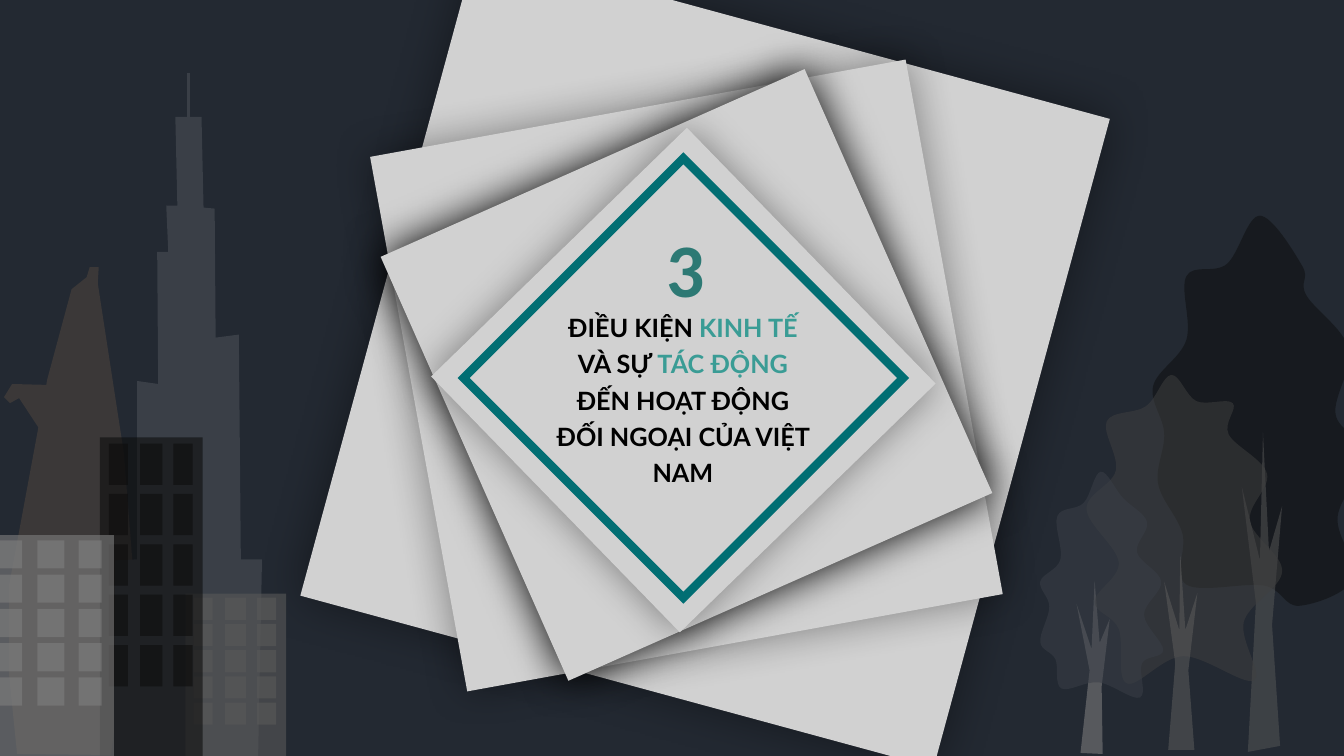
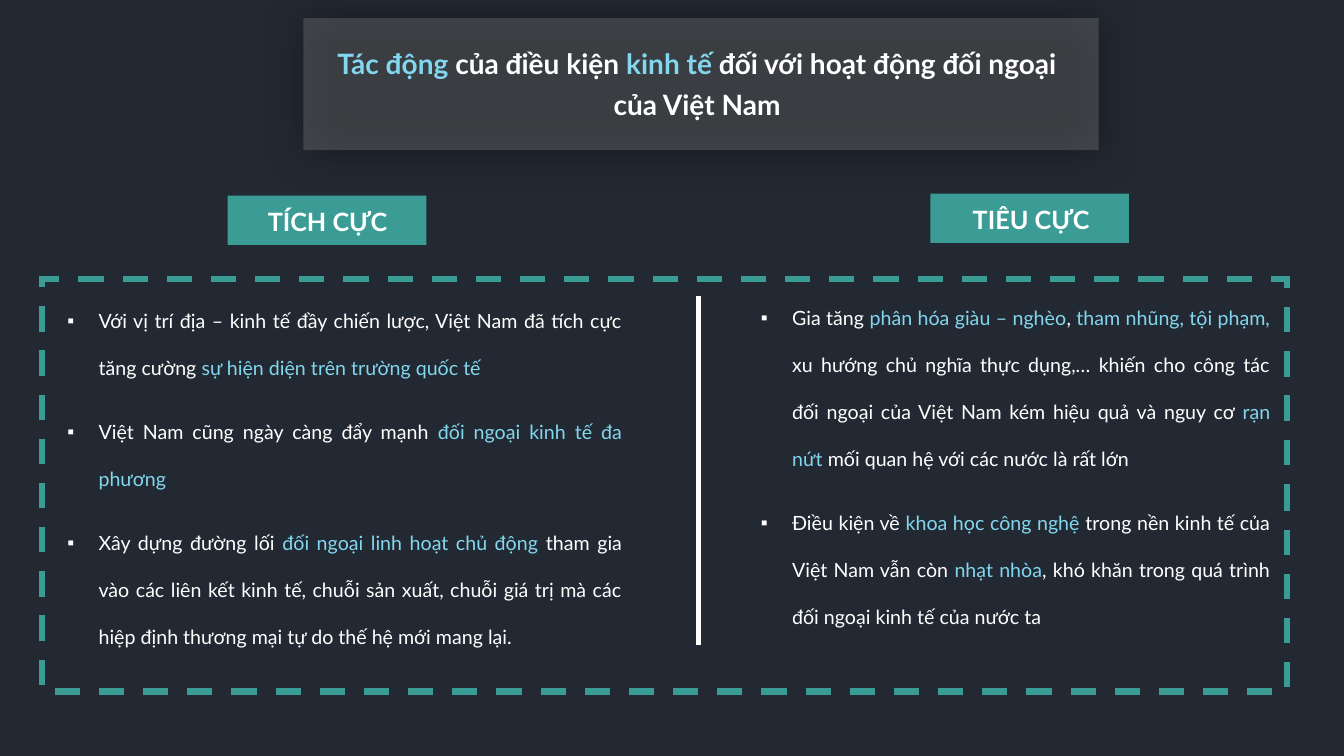
from dataclasses import dataclass
from typing import Optional

from lxml import etree
from pptx import Presentation
from pptx import util as u
from pptx.dml.color import RGBColor
from pptx.enum import dml, shapes, text
from pptx.oxml.ns import qn

NIGHT, PAPER, WHITE, BLACK = "232932", "D1D1D1", "FFFFFF", "000000"
TEAL, DEEP_TEAL, NUMBER_TEAL, SKY = "3A9C95", "016E73", "2D7974", "82D7EF"
SLATE, BROWN, GREY, DARK_GREY, TRUNK, INK = "3A3F47", "3B3838", "7F7F7F", "595959", "5C5C5C", "0D0D0D"
RECT = shapes.MSO_SHAPE.RECTANGLE

Point = tuple[float, float]


@dataclass
class Box:
    left: float
    top: float
    width: float
    height: float

    def emu(self) -> list[int]:
        return [u.Inches(v) for v in (self.left, self.top, self.width, self.height)]


@dataclass
class Sheet:
    box: Box
    rotation: float
    blur: float
    shadow_alpha: int = 40


@dataclass
class Outline:
    points: list[Point]
    color: str
    alpha: int = 100
    smooth: bool = False


@dataclass
class Building:
    box: Box
    color: str
    pane_lefts: tuple[float, float, float]
    pane_widths: tuple[float, float, float]
    pane_height: float
    first_floor: float
    floor_step: float
    floors: int = 5


@dataclass
class TextStyle:
    size: float
    color: str = WHITE
    accent: str = SKY
    bold: bool = False
    font: str = "Lato"
    align: text.PP_ALIGN = text.PP_ALIGN.CENTER
    line_spacing: float = 1.0
    gap: float = 0
    margin: float = 0
    indent: float = 0
    bullet: str = ""


SHEETS = [
    Sheet(Box(3.74, 0.21, 6.51, 6.67), 15.2, 34),
    Sheet(Box(4.11, 1.03, 5.4, 5.39), 349.7, 30),
    Sheet(Box(4.51, 1.42, 4.6, 4.6), 66.1, 30, 100),
    Sheet(Box(5.01, 2, 3.54, 3.54), 315.8, 28),
]
TREES = [
    Outline([(10.72, 7.47), (10.81, 6.65), (10.68, 5.99), (10.83, 6.44), (10.86, 5.76),
             (10.91, 6.38), (11.01, 6.14), (10.93, 6.81), (10.94, 7.48)], GREY, 57),
    Outline([(12.54, 5.81), (11.77, 5.8), (11.73, 5.29), (11.49, 4.8), (11.55, 4.3), (11.44, 3.83),
             (11.77, 3.37), (11.77, 2.74), (12.17, 2.62), (12.5, 2.14), (12.92, 2.64), (12.96, 2.93),
             (13.38, 3.46), (13.25, 4.11), (13.55, 4.51), (13.27, 5.13), (13.43, 5.74), (12.89, 6.01)],
            INK, 50, True),
    Outline([(12.38, 7.46), (12.46, 5.98), (12.32, 4.83), (12.5, 5.56), (12.53, 4.29),
             (12.59, 5.47), (12.72, 5.02), (12.62, 6.2), (12.7, 7.4)], TRUNK, 47),
    Outline([(11.74, 6.51), (11.18, 6.78), (11.1, 6.24), (10.86, 5.97), (11.1, 5.58), (10.78, 5.05),
             (11.07, 4.67), (10.98, 4.18), (11.37, 4.03), (11.62, 3.72), (11.87, 3.98), (12.23, 4),
             (12.19, 4.31), (12.57, 4.7), (12.4, 5.17), (12.72, 5.67), (12.34, 6.17), (12.44, 6.75)],
            "404040", 51, True),
    Outline([(11.59, 7.44), (11.66, 6.58), (11.55, 5.77), (11.7, 6.25), (11.71, 5.49),
             (11.76, 6.25), (11.88, 5.88), (11.79, 6.65), (11.85, 7.44)], TRUNK, 54),
]
SMALL_CROWN = Outline(
    [(10.9, 6.77), (10.53, 6.83), (10.47, 6.54), (10.32, 6.37), (10.41, 6.02), (10.32, 5.77),
     (10.52, 5.55), (10.49, 5.12), (10.75, 4.99), (10.92, 4.68), (11.14, 4.94), (11.38, 5.18),
     (11.28, 5.48), (11.52, 5.77), (11.35, 6.1), (11.54, 6.45), (11.33, 6.58), (11.31, 6.92)],
    SLATE, 54, True)
TOWERS = [
    Outline([(0.09, 5.81), (0.09, 6.69), (0.17, 7.48), (1.1, 7.49), (1.33, 5.78), (1.23, 4.5),
             (0.97, 2.81), (0.98, 2.65), (0.89, 2.65), (0.86, 2.75), (0.71, 2.87),
             (0.47, 3.76)], BROWN),
    Outline([(0.5, 3.82), (0.12, 3.81), (0.04, 3.94), (0.1, 4), (0.19, 3.95), (0.4, 4.27)], BROWN),
    Outline([(2.6, 5.55), (2.56, 7.56), (1.13, 7.56), (1.14, 5.56), (1.36, 5.55), (1.36, 3.78),
             (1.57, 3.81), (1.56, 2.5), (1.67, 2.5), (1.65, 2.04), (1.76, 2.04), (1.74, 1.16),
             (2, 1.16), (2.02, 2.06), (2.13, 2.07), (2.14, 3.35), (2.37, 3.32), (2.39, 5.55)], SLATE),
]
BUILDINGS = [
    Building(Box(1.84, 5.89, 1, 1.68), DARK_GREY, (1.92, 2.23, 2.55), (0.19, 0.21, 0.19), 0.22, 5.93, 0.26),
    Building(Box(0.99, 4.34, 1.02, 3.18), INK, (1.08, 1.39, 1.72), (0.19, 0.22, 0.19), 0.41, 4.4, 0.5),
    Building(Box(-0.12, 5.31, 1.25, 2.19), GREY, (-0.01, 0.37, 0.78), (0.23, 0.27, 0.23), 0.28, 5.36, 0.34),
]

SECTION = TextStyle(18, BLACK, TEAL, True, line_spacing=1.2, gap=6)
NUMBER = TextStyle(54, NUMBER_TEAL, bold=True, font="Calibri", align=text.PP_ALIGN.LEFT)
TITLE = TextStyle(20, bold=True, line_spacing=1.2, gap=6, margin=0.5)
TAG = TextStyle(18, bold=True)
BODY = TextStyle(14, align=text.PP_ALIGN.JUSTIFY, line_spacing=2, gap=6,
                 margin=0.31, indent=-0.31, bullet="▪")

POSITIVE = [
    "Với vị trí địa – kinh tế đầy chiến lược, Việt Nam đã tích cực tăng cường "
    "*sự hiện diện trên trường quốc tế ",
    "Việt Nam cũng ngày càng đẩy mạnh *đối ngoại kinh tế đa phương",
    "Xây dựng đường lối *đối ngoại linh hoạt chủ động *tham gia vào các liên kết kinh tế, "
    "chuỗi sản xuất, chuỗi giá trị mà các hiệp định thương mại tự do thế hệ mới mang lại.",
]
NEGATIVE = [
    "Gia tăng *phân hóa giàu – nghèo*, *tham nhũng, tội phạm, *xu hướng chủ nghĩa thực dụng,… "
    "khiến cho công tác đối ngoại của Việt Nam kém hiệu quả và nguy cơ *rạn nứt *"
    "mối quan hệ với các nước là rất lớn ",
    "Điều kiện về *khoa học công nghệ *trong nền kinh tế của Việt Nam vẫn còn *nhạt nhòa*, "
    "khó khăn trong quá trình đối ngoại kinh tế của nước ta",
]


def rgb(value: str) -> RGBColor:
    return RGBColor.from_string(value)


def paint(shape, color: Optional[str], alpha: int = 100) -> None:
    """Fill a shape, or leave it hollow, with no outline and no shadow."""
    shape.shadow.inherit = False
    shape.line.fill.background()
    if color is None:
        shape.fill.background()
        return
    shape.fill.solid()
    shape.fill.fore_color.rgb = rgb(color)
    if alpha < 100:
        tint = shape.element.spPr.find(qn("a:solidFill"))[0]
        etree.SubElement(tint, qn("a:alpha"), val=str(alpha * 1000))


def stroke(shape, color: str, width: float, dash: Optional[dml.MSO_LINE] = None) -> None:
    """Draw the outline with sharp corners."""
    shape.line.color.rgb = rgb(color)
    shape.line.width = u.Pt(width)
    if dash:
        shape.line.dash_style = dash
    etree.SubElement(shape.element.spPr.find(qn("a:ln")), qn("a:miter"), lim="800000")


def add_block(slide, box: Box, color: Optional[str], alpha: int = 100,
              rotation: float = 0, kind: shapes.MSO_SHAPE = RECT):
    block = slide.shapes.add_shape(kind, *box.emu())
    block.rotation = rotation
    paint(block, color, alpha)
    return block


def cast_shadow(shape, blur: float, alpha: int) -> None:
    effects = shape.element.spPr.find(qn("a:effectLst"))
    shadow = etree.SubElement(effects, qn("a:outerShdw"), blurRad=str(u.Pt(blur)),
                              dist="0", dir="0", algn="ctr", rotWithShape="0")
    tint = etree.SubElement(shadow, qn("a:srgbClr"), val=BLACK)
    etree.SubElement(tint, qn("a:alpha"), val=str(alpha * 1000))


def add_line(slide, start: Point, end: Point, color: str, width: float) -> None:
    line = slide.shapes.add_connector(shapes.MSO_CONNECTOR.STRAIGHT,
                                      *[u.Inches(v) for v in (*start, *end)])
    stroke(line, color, width)
    etree.SubElement(line.element.spPr, qn("a:effectLst"))


def bend(shape) -> None:
    """Turn the straight sides of a closed outline into one smooth Bézier loop."""
    route = next(shape.element.iter(qn("a:path")))
    knots = [(int(pt.get("x")), int(pt.get("y"))) for pt in route.iter(qn("a:pt"))]
    if knots[-1] == knots[0]:
        knots.pop()
    for side in route.findall(qn("a:lnTo")):
        route.remove(side)
    close = route.find(qn("a:close"))
    for i in range(len(knots)):
        before, start, end, after = (knots[(i + k) % len(knots)] for k in (-1, 0, 1, 2))
        leave = [s + (e - b) / 6 for b, s, e in zip(before, start, end)]
        arrive = [e - (a - s) / 6 for s, e, a in zip(start, end, after)]
        curve = etree.Element(qn("a:cubicBezTo"))
        for x, y in (leave, arrive, end):
            etree.SubElement(curve, qn("a:pt"), x=str(round(x)), y=str(round(y)))
        close.addprevious(curve)


def add_outline(slide, outline: Outline) -> None:
    start, *rest = [(u.Inches(x), u.Inches(y)) for x, y in outline.points]
    builder = slide.shapes.build_freeform(*start)
    builder.add_line_segments(rest, close=True)
    shape = builder.convert_to_shape()
    if outline.smooth:
        bend(shape)
    paint(shape, outline.color, outline.alpha)


def add_building(slide, building: Building) -> None:
    add_block(slide, building.box, building.color, 60)
    for floor in range(building.floors):
        top = building.first_floor + floor * building.floor_step
        for left, width in zip(building.pane_lefts, building.pane_widths):
            add_block(slide, Box(left, top, width, building.pane_height), building.color, 60)


def add_text(slide, box: Box, lines: list[str], style: TextStyle) -> None:
    """Write one paragraph per line; every second part between asterisks takes the accent colour."""
    frame = slide.shapes.add_textbox(*box.emu()).text_frame
    frame.word_wrap = True
    for number, line in enumerate(lines):
        paragraph = frame.add_paragraph() if number else frame.paragraphs[0]
        paragraph.alignment = style.align
        paragraph.line_spacing = style.line_spacing
        paragraph.space_before = u.Pt(style.gap if number else 0)
        paragraph.space_after = u.Pt(style.gap)
        properties = paragraph._p.get_or_add_pPr()
        properties.set("marL", str(u.Inches(style.margin)))
        properties.set("indent", str(u.Inches(style.indent)))
        if style.bullet:
            etree.SubElement(properties, qn("a:buFont"), typeface="Arial")
            etree.SubElement(properties, qn("a:buChar"), char=style.bullet)
        for part, words in enumerate(line.split("*")):
            if not words:
                continue
            run = paragraph.add_run()
            run.text = words
            run.font.name = style.font
            run.font.size = u.Pt(style.size)
            run.font.bold = style.bold
            run.font.color.rgb = rgb(style.accent if part % 2 else style.color)


def add_slide(deck):
    slide = deck.slides.add_slide(deck.slide_layouts[6])
    slide.background.fill.solid()
    slide.background.fill.fore_color.rgb = rgb(NIGHT)
    return slide


def build_section(deck) -> None:
    slide = add_slide(deck)
    for sheet in SHEETS:
        paper = add_block(slide, sheet.box, PAPER, rotation=sheet.rotation)
        cast_shadow(paper, sheet.blur, sheet.shadow_alpha)
    diamond = add_block(slide, Box(4.6, 1.57, 4.36, 4.36), None, kind=shapes.MSO_SHAPE.DIAMOND)
    stroke(diamond, DEEP_TEAL, 6)
    for outline in TREES + TOWERS:
        add_outline(slide, outline)
    add_line(slide, (1.87, 0.72), (1.87, 1.16), SLATE, 2.25)
    for building in BUILDINGS:
        add_building(slide, building)
    add_outline(slide, SMALL_CROWN)
    add_text(slide, Box(5.4, 2.99, 2.75, 1.88),
             ["ĐIỀU KIỆN *KINH TẾ *VÀ SỰ *TÁC ĐỘNG *ĐẾN HOẠT ĐỘNG ĐỐI NGOẠI CỦA VIỆT NAM"], SECTION)
    add_text(slide, Box(6.51, 2.15, 0.64, 1.92), ["3"], NUMBER)


def build_impacts(deck) -> None:
    slide = add_slide(deck)
    banner = add_block(slide, Box(3.01, 0.18, 7.89, 1.31), GREY, 35)
    cast_shadow(banner, 30, 100)
    add_text(slide, Box(2.72, 0.35, 7.89, 0.87),
             ["*Tác động *của điều kiện *kinh tế *đối với hoạt động đối ngoại của Việt Nam"], TITLE)
    add_text(slide, Box(0.57, 2.78, 5.7, 4.3), POSITIVE, BODY)
    add_text(slide, Box(7.45, 2.75, 5.25, 3.49), NEGATIVE, BODY)
    for tag, label_left, label_width, label in (
            (Box(2.26, 1.94, 1.97, 0.49), 1.98, 2.54, "TÍCH CỰC"),
            (Box(9.23, 1.92, 1.97, 0.49), 7.85, 4.76, "TIÊU CỰC")):
        add_block(slide, tag, TEAL)
        add_text(slide, Box(label_left, tag.top + 0.06, label_width, 0.4), [label], TAG)
    add_line(slide, (6.93, 2.94), (6.93, 6.4), WHITE, 3)
    border = add_block(slide, Box(4.55, -1.36, 4.09, 12.35), None, rotation=270)
    stroke(border, TEAL, 4.5, dml.MSO_LINE.DASH)


def main() -> None:
    deck = Presentation()
    deck.slide_width, deck.slide_height = u.Inches(40 / 3), u.Inches(7.5)
    build_section(deck)
    build_impacts(deck)
    deck.save("out.pptx")


if __name__ == "__main__":
    main()
